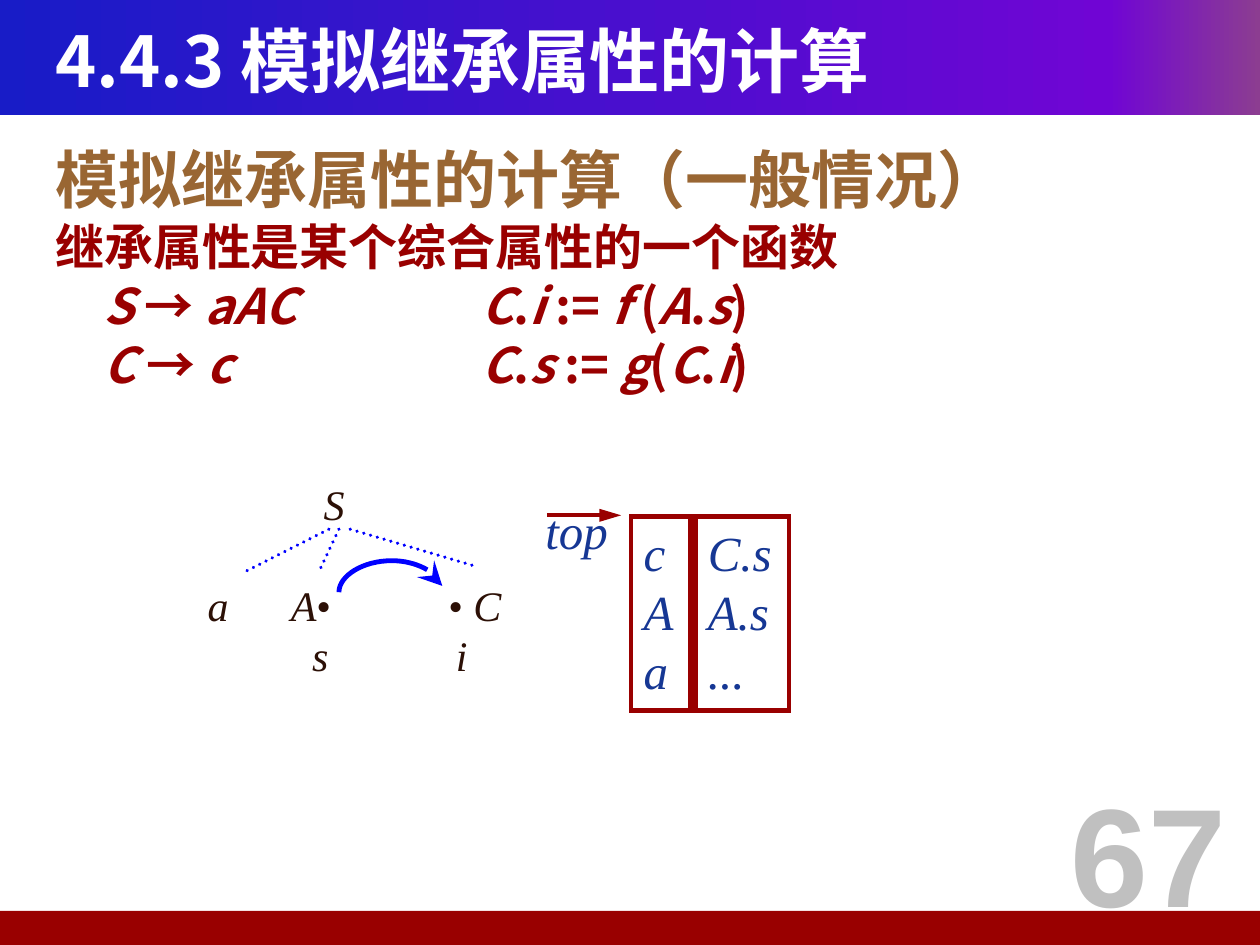
from lxml.etree import SubElement as Sub
from pptx import Presentation
from pptx.dml.color import RGBColor as RGB
from pptx.enum.dml import MSO_LINE as Dash
from pptx.enum.shapes import MSO_CONNECTOR as Conn, MSO_SHAPE as Shape
from pptx.enum.text import MSO_ANCHOR as Anchor, PP_ALIGN as Align
from pptx.oxml.ns import qn
from pptx.util import Inches, Pt

HUES = {
    "blue": "181CC7", "violet": "7005D4", "plum": "8C3D91",
    "red": "990000", "brown": "996633", "white": "FFFFFF",
    "grey": "C0C0C0", "navy": "163794", "ink": "2C1006", "arc": "0000FF",
}
SANS = "Noto Sans CJK SC"
SERIF = "Times New Roman"


def tint(name):
    return RGB.from_string(HUES[name])


def add_run(para, text, size, face, hue, bold=False, slant=False):
    run = para.add_run()
    run.text = text
    font = run.font
    font.size, font.name = Pt(size), face
    font.bold, font.italic = bold, slant
    font.color.rgb = tint(hue)
    Sub(font._element, qn("a:ea"), typeface=face)


def add_text(slide, x, y, w, h):
    box = slide.shapes.add_textbox(Inches(x), Inches(y), Inches(w), Inches(h))
    box.text_frame.word_wrap = True
    return box.text_frame


def add_rect(slide, x, y, w, h):
    rect = slide.shapes.add_shape(
        Shape.RECTANGLE, Inches(x), Inches(y), Inches(w), Inches(h))
    rect.shadow.inherit = False
    return rect


def add_line(slide, start, end, hue, width):
    line = slide.shapes.add_connector(
        Conn.STRAIGHT, *(Inches(v) for v in (*start, *end)))
    line.line.color.rgb = tint(hue)
    line.line.width = Pt(width)
    Sub(line._element.spPr, qn("a:effectLst"))
    return line


def add_tip(shape, end, kind, width):
    Sub(shape.line._get_or_add_ln(), qn(f"a:{end}"),
        type=kind, w=width, len="lg")


def add_band(slide, x, y, w, h):
    band = add_rect(slide, x, y, w, h)
    band.line.fill.background()
    band.fill.gradient()
    band.fill.gradient_angle = 0
    stops = band._element.spPr.find(qn("a:gradFill")).find(qn("a:gsLst"))
    for stop in list(stops):
        stops.remove(stop)
    for pos, hue in ((0, "blue"), (88, "violet"), (100, "plum")):
        stop = Sub(stops, qn("a:gs"), pos=str(pos * 1000))
        Sub(stop, qn("a:srgbClr"), val=HUES[hue])
    frame = add_text(slide, x + 0.34, y + 0.16, 9.25, 0.62)
    frame.vertical_anchor = Anchor.MIDDLE
    add_run(frame.paragraphs[0], "4.4.3 模拟继承属性的计算", 40, SANS, "white", True)


def add_foot(slide, x, y, w, h):
    bar = add_rect(slide, x, y, w, h)
    bar.fill.solid()
    bar.fill.fore_color.rgb = tint("red")
    bar.line.fill.background()
    para = add_text(slide, x + w - 1.77, y - 1.19, 1.77, 1.42).paragraphs[0]
    para.alignment = Align.CENTER
    add_run(para, "67", 80, "Arial", "grey", True)


def add_body(slide, x, y, w, h):
    frame = add_text(slide, x, y, w, h)
    rows = (
        (36, "brown", ("模拟继承属性的计算（一般情况）",)),
        (28, "red", ("继承属性是某个综合属性的一个函数",)),
        (28, "red", ("\t", "S ", "→ ", "aAC\t\tC", ".", "i", " := ",
                     "f ", "(", "A", ".", "s", ")")),
        (28, "red", ("\t", "C ", "→ ", "c\t\tC", ".", "s", " := ",
                     "g", "(", "C", ".", "i", ")")),
    )
    for i, (size, hue, parts) in enumerate(rows):
        para = frame.add_paragraph() if i else frame.paragraphs[0]
        props = para._p.get_or_add_pPr()
        props.set("marL", str(Inches(0.38)))
        props.set("indent", str(Inches(-0.38)))
        props.set("defTabSz", str(Inches(1)))
        for j, part in enumerate(parts):
            add_run(para, part, size, SANS, hue, True, j % 2 == 1)


def add_stack(slide, x, y):
    columns = ((0.78, 0.47, ("c", "A", "a")),
               (1.29, 0.74, ("C.s", "A.s", "...")))
    for left, width, cells in columns:
        rect = add_rect(slide, x + left, y + 0.18, width, 1.54)
        rect.fill.background()
        rect.line.color.rgb = tint("red")
        rect.line.width = Pt(2.5)
        Sub(rect.line._get_or_add_ln(), qn("a:miter"), lim="800000")
        frame = rect.text_frame
        frame.word_wrap = False
        frame.vertical_anchor = Anchor.TOP
        for i, cell in enumerate(cells):
            para = frame.add_paragraph() if i else frame.paragraphs[0]
            para.alignment = Align.LEFT
            add_run(para, cell, 28, SERIF, "navy", slant=True)
    arrow = add_line(slide, (x + 0.11, y + 0.17), (x + 0.7, y + 0.17), "red", 2.5)
    add_tip(arrow, "tailEnd", "triangle", "med")
    para = add_text(slide, x, y, 0.9, 0.57).paragraphs[0]
    add_run(para, "top", 28, SERIF, "navy", slant=True)


def curve(a, b, c, d, steps=16):
    for i in range(1, steps + 1):
        t = i / steps
        u = 1 - t
        yield tuple(u**3 * p + 3 * u * u * t * q + 3 * u * t * t * r + t**3 * s
                    for p, q, r, s in zip(a, b, c, d))


def add_arc(slide, x, y):
    start, peak, end = (x + 0.82, y + 0.2), (x + 0.42, y), (x, y + 0.25)
    points = [
        *curve(start, (x + 0.78, y + 0.09), (x + 0.61, y), peak),
        *curve(peak, (x + 0.19, y), (x, y + 0.12), end),
    ]
    build = slide.shapes.build_freeform(
        Inches(start[0]), Inches(start[1]), scale=1.0)
    build.add_line_segments(
        [(Inches(px), Inches(py)) for px, py in points], close=False)
    arc = build.convert_to_shape()
    arc.shadow.inherit = False
    arc.fill.background()
    arc.line.color.rgb = tint("arc")
    arc.line.width = Pt(2.75)
    add_tip(arc, "headEnd", "stealth", "lg")


def add_tree(slide, x, y):
    labels = (
        (0.92, 0, ("S",)),
        (0, 0.8, ("a",)),
        (0.66, 0.8, ("A", "•")),
        (1.91, 0.8, ("", "• ", "C")),
        (0.83, 1.2, ("s",)),
        (1.97, 1.2, ("i",)),
    )
    for left, top, parts in labels:
        para = add_text(slide, x + left, y + top, 0.8, 0.47).paragraphs[0]
        for i, part in enumerate(parts):
            if part:
                add_run(para, part, 24, SERIF, "ink", slant=i % 2 == 0)
    for left, right, drop in ((1.06, 0.39, 0.34), (1.14, 0.98, 0.34),
                              (1.23, 2.21, 0.29)):
        line = add_line(slide, (x + left, y + 0.45),
                        (x + right, y + 0.45 + drop), "arc", 2)
        line.line.dash_style = Dash.ROUND_DOT
        line.line._get_or_add_ln().set("cap", "rnd")
    add_arc(slide, x + 1.14, y + 0.7)


def main():
    deck = Presentation()
    deck.slide_width, deck.slide_height = Inches(10), Inches(7.5)
    slide = deck.slides.add_slide(deck.slide_layouts[6])
    add_band(slide, 0, 0, 10, 0.91)
    add_foot(slide, 0, 7.23, 10, 0.27)
    add_body(slide, 0.34, 1.07, 9.42, 5.83)
    add_stack(slide, 4.23, 3.92)
    add_tree(slide, 1.55, 3.75)
    deck.save("out.pptx")


if __name__ == "__main__":
    main()
